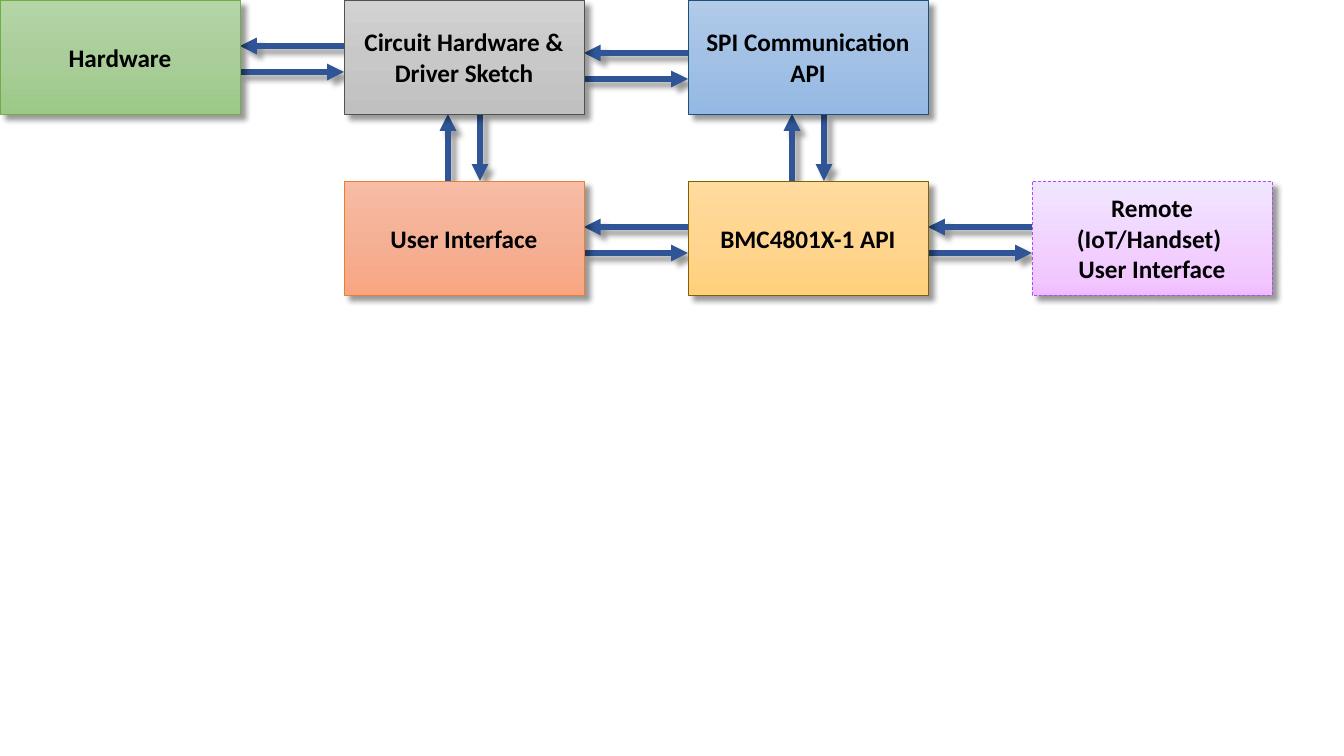
"""Build the block diagram of the monitoring system's hardware and software layers."""
from copy import deepcopy

from lxml.etree import SubElement
from pptx import Presentation
from pptx.dml.color import RGBColor
from pptx.enum.dml import MSO_LINE
from pptx.enum.shapes import MSO_CONNECTOR, MSO_SHAPE
from pptx.enum.text import MSO_ANCHOR, PP_ALIGN
from pptx.oxml.ns import qn
from pptx.util import Pt

BLOCKS = [
    {"text": "Circuit Hardware & Driver Sketch", "cell": (1, 0), "style": "gray"},
    {"text": "SPI Communication API", "cell": (2, 0), "style": "blue"},
    {"text": "User Interface", "cell": (1, 1), "style": "orange"},
    {"text": "BMC4801X-1 API", "cell": (2, 1), "style": "gold"},
    {"text": "Remote (IoT/Handset) \nUser Interface", "cell": (3, 1), "style": "violet"},
    {"text": "Hardware", "cell": (0, 0), "style": "green"},
]
SIDE_LINKS = [((1, 1), 46), ((2, 1), 46), ((1, 0), 53), ((0, 0), 46)]
DOWN_LINKS = [(2, 0), (1, 0)]

THEME = {
    "font": "Calibri", "size": 18, "text": "000000",
    "arrow": "2F5597", "arrow_width": 4, "border_width": 0.5,
    "shadow": {"color": "000000", "alpha": 40, "blur": 4, "distance": 6, "angle": 45},
    "gray": {"stops": ["D2D2D2", "C8C8C8", "C0C0C0"], "border": "525252"},
    "blue": {"stops": ["B1CBE9", "A3C1E5", "93B9E4"], "border": "1F4E79"},
    "orange": {"stops": ["F7BDA5", "F5B196", "F8A582"], "border": "ED7D31"},
    "gold": {"stops": ["FFDB9E", "FFD590", "FFD07C"], "border": "806000"},
    "violet": {"stops": ["F1E6FF", "F2C7FF", "F0BAFF"], "border": "AF4AFF",
               "middle": 0.88, "dash": MSO_LINE.DASH},
    "green": {"stops": ["B5D5A7", "AACE9A", "9CC987"], "border": "70AD47"},
}

SCALE = 914400 / 100.8
SLIDE_WIDTH, SLIDE_HEIGHT = 1344, 756
BLOCK_WIDTH, BLOCK_HEIGHT = 240, 114
COLUMN_STEP, ROW_STEP = 344, 181
SIDE_SPACING, DOWN_SPACING = 26, 32


def emu(*pixels):
    return [round(value * SCALE) for value in pixels]


def corner(cell):
    column, row = cell
    return column * COLUMN_STEP, row * ROW_STEP


def add_shadow(shape):
    shadow = THEME["shadow"]
    effects = SubElement(shape._element.spPr, qn("a:effectLst"))
    outer = SubElement(effects, qn("a:outerShdw"), {
        "blurRad": str(Pt(shadow["blur"])), "dist": str(Pt(shadow["distance"])),
        "dir": str(shadow["angle"] * 60000), "algn": "tl", "rotWithShape": "0"})
    color = SubElement(outer, qn("a:srgbClr"), val=shadow["color"])
    SubElement(color, qn("a:alpha"), val=str(shadow["alpha"] * 1000))


def add_arrow(slide, start, end):
    connector = slide.shapes.add_connector(MSO_CONNECTOR.STRAIGHT, *emu(*start, *end))
    connector.line.color.rgb = RGBColor.from_string(THEME["arrow"])
    connector.line.width = Pt(THEME["arrow_width"])
    SubElement(connector.line._get_or_add_ln(), qn("a:tailEnd"), type="triangle")
    add_shadow(connector)


def fill_gradient(shape, colors, middle):
    shape.fill.gradient()
    shape.fill.gradient_angle = 270
    stop_list = shape._element.spPr.find(".//" + qn("a:gsLst"))
    stop_list.append(deepcopy(stop_list[0]))
    for stop, color, position in zip(shape.fill.gradient_stops, colors, (0, middle, 1)):
        stop.color.rgb = RGBColor.from_string(color)
        stop.position = position


def write_text(shape, text, size=THEME["size"], color=THEME["text"], bold=True):
    frame = shape.text_frame
    frame.word_wrap = True
    frame.vertical_anchor = MSO_ANCHOR.MIDDLE
    frame.text = text
    for paragraph in frame.paragraphs:
        paragraph.alignment = PP_ALIGN.CENTER
        font = paragraph.runs[0].font
        font.name, font.size, font.bold = THEME["font"], Pt(size), bold
        font.color.rgb = RGBColor.from_string(color)


def add_block(slide, text, cell, style):
    look = THEME[style]
    shape = slide.shapes.add_shape(
        MSO_SHAPE.RECTANGLE, *emu(*corner(cell), BLOCK_WIDTH, BLOCK_HEIGHT))
    fill_gradient(shape, look["stops"], look.get("middle", 0.5))
    shape.line.color.rgb = RGBColor.from_string(look["border"])
    shape.line.width = Pt(THEME["border_width"])
    if "dash" in look:
        shape.line.dash_style = look["dash"]
    add_shadow(shape)
    write_text(shape, text)


presentation = Presentation()
presentation.slide_width, presentation.slide_height = emu(SLIDE_WIDTH, SLIDE_HEIGHT)
slide = presentation.slides.add_slide(presentation.slide_layouts[6])

for cell, offset in SIDE_LINKS:
    left, top = corner(cell)
    near, far, upper = left + BLOCK_WIDTH, left + COLUMN_STEP, top + offset
    lower = upper + SIDE_SPACING
    add_arrow(slide, (near, lower), (far, lower))
    add_arrow(slide, (far, upper), (near, upper))

for cell in DOWN_LINKS:
    left, top = corner(cell)
    near, far = top + BLOCK_HEIGHT, top + ROW_STEP
    upward = left + (BLOCK_WIDTH - DOWN_SPACING) // 2
    downward = upward + DOWN_SPACING
    add_arrow(slide, (downward, near), (downward, far))
    add_arrow(slide, (upward, far), (upward, near))

for block in BLOCKS:
    add_block(slide, **block)

presentation.save("out.pptx")
